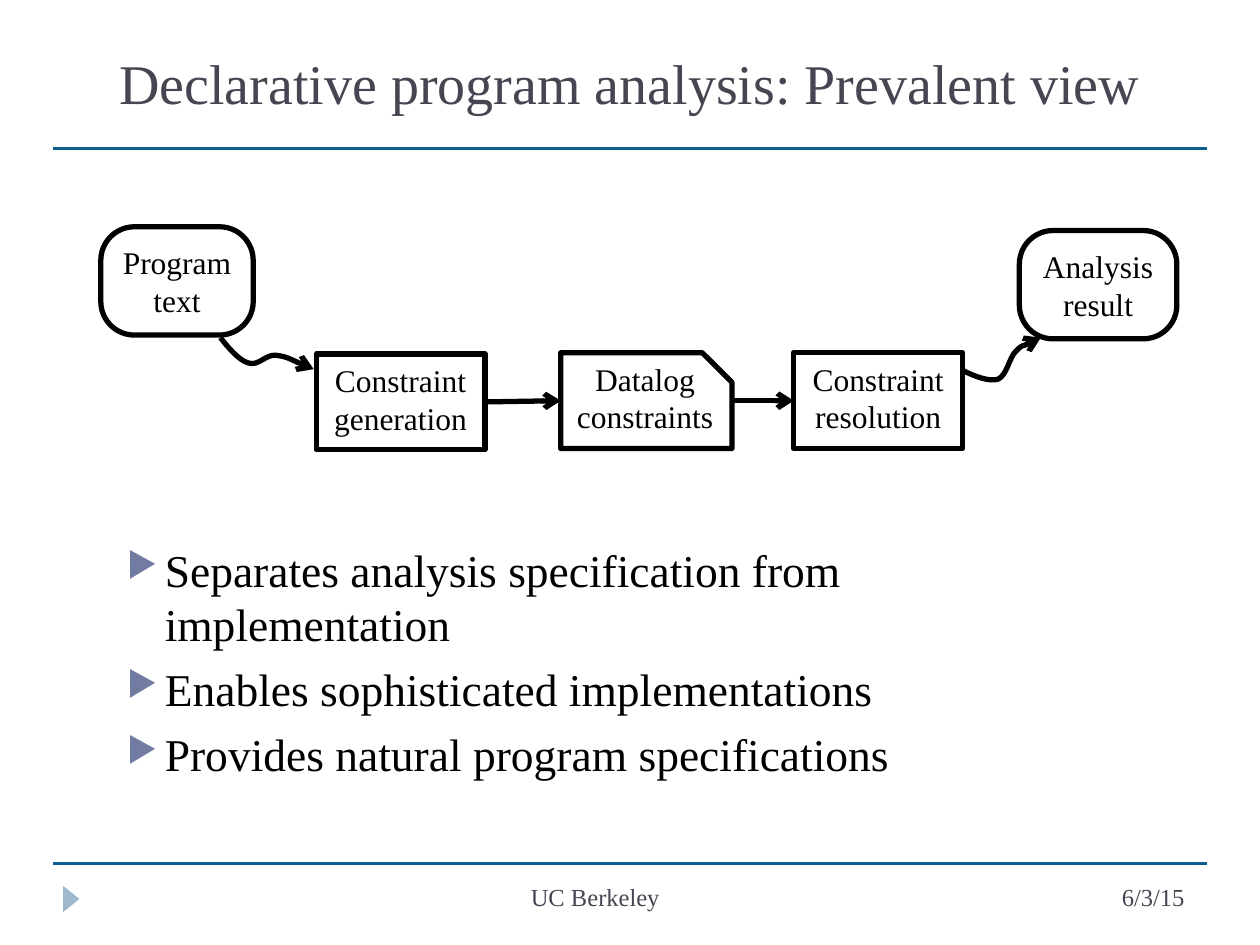
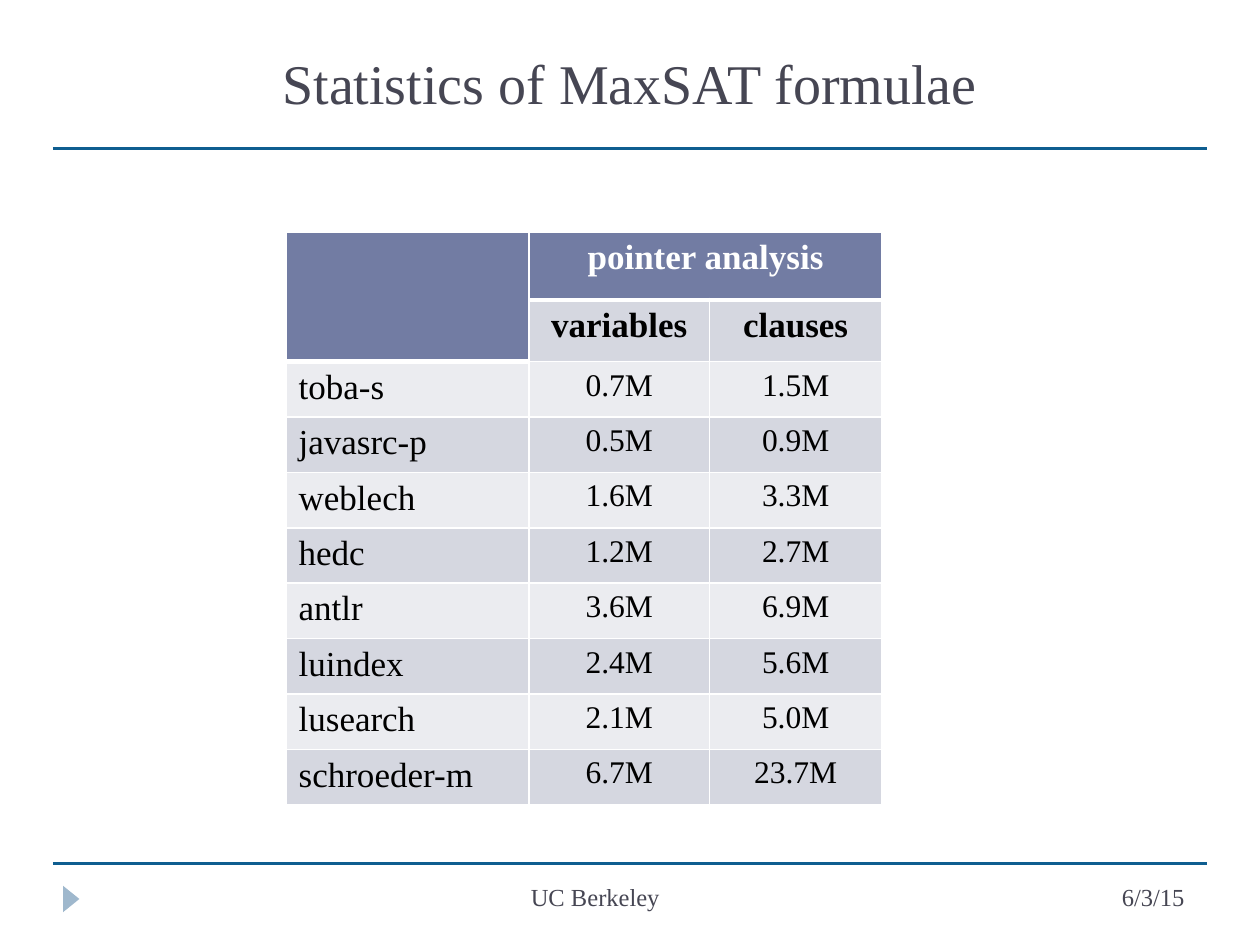
from lxml.etree import SubElement
from pptx import Presentation
from pptx.dml.color import RGBColor
from pptx.enum.shapes import MSO_CONNECTOR, MSO_SHAPE
from pptx.enum.text import MSO_ANCHOR, PP_ALIGN
from pptx.oxml.ns import qn
from pptx.util import Emu, Pt

PX = 9144  # 100 px to the inch
FONT = "Times New Roman"
BLACK = RGBColor(0x00, 0x00, 0x00)
WHITE = RGBColor(0xFF, 0xFF, 0xFF)
SLATE = RGBColor(0x46, 0x46, 0x53)
BLUE = RGBColor(0x0F, 0x5E, 0x90)
SKY = RGBColor(0x9F, 0xB8, 0xCD)
HEAD = RGBColor(0x72, 0x7C, 0xA3)
BANDS = RGBColor(0xEB, 0xEC, 0xF0), RGBColor(0xD5, 0xD7, 0xE0)
LEFT, MID, RIGHT = PP_ALIGN.LEFT, PP_ALIGN.CENTER, PP_ALIGN.RIGHT


def px(*nums):
    return [Emu(n * PX) for n in nums]


class Deck:
    def __init__(self):
        self.prs = Presentation()
        self.prs.slide_width, self.prs.slide_height = px(1000, 750)
        self.shapes = None

    # Frame shared by all slides
    def page(self, title):
        slide = self.prs.slides.add_slide(self.prs.slide_layouts[6])
        self.shapes = slide.shapes
        mark = self.shape(MSO_SHAPE.ISOSCELES_TRIANGLE, (46, 707, 21, 13), SKY)
        mark.rotation = 90
        for y in (118, 685):
            self.line((42, y), (958, y), BLUE, 1.75)
        self.label((50, 17, 900, 97), title, 32, MID, MSO_ANCHOR.MIDDLE)
        self.label((156, 695, 633, 40), "UC Berkeley", 14, MID)
        self.label((700, 695, 250, 40), "6/3/15", 14, RIGHT)

    # Text
    def run(self, para, text, size, color=BLACK, bold=False):
        run = para.add_run()
        run.text = text
        font = run.font
        font.name, font.size, font.bold = FONT, Pt(size), bold
        font.color.rgb = color

    def label(self, area, text, size, align, anchor=MSO_ANCHOR.TOP):
        frame = self.shapes.add_textbox(*px(*area)).text_frame
        frame.word_wrap = True
        frame.vertical_anchor = anchor
        para = frame.paragraphs[0]
        para.alignment = align
        self.run(para, text, size, SLATE)

    def bullets(self, area, items, size):
        frame = self.shapes.add_textbox(*px(*area)).text_frame
        frame.word_wrap = True
        for i, item in enumerate(items):
            para = frame.add_paragraph() if i else frame.paragraphs[0]
            para.space_before = Pt(6)
            prop = para._p.get_or_add_pPr()
            prop.set("marL", str(30 * PX))
            prop.set("indent", str(-30 * PX))
            tint = SubElement(prop, qn("a:buClr"))
            SubElement(tint, qn("a:srgbClr")).set("val", str(HEAD))
            SubElement(prop, qn("a:buSzPct")).set("val", "76000")
            SubElement(prop, qn("a:buChar")).set("char", "▶")
            self.run(para, item, size)

    # Shapes and lines
    def shape(self, kind, area, fill):
        shape = self.shapes.add_shape(kind, *px(*area))
        shape.shadow.inherit = False
        shape.fill.solid()
        shape.fill.fore_color.rgb = fill
        shape.line.fill.background()
        return shape

    def node(self, kind, area, lines, pads, adj=None):
        node = self.shape(kind, area, WHITE)
        self.pen(node, BLACK, 3)
        if adj is not None:
            node.adjustments[0] = adj
        frame = node.text_frame
        frame.word_wrap = True
        frame.vertical_anchor = MSO_ANCHOR.MIDDLE
        (frame.margin_left, frame.margin_top,
         frame.margin_right, frame.margin_bottom) = px(*pads)
        para = frame.paragraphs[0]
        para.alignment = MID
        for i, line in enumerate(lines):
            if i:
                para.add_line_break()
            self.run(para, line, 18)

    def pen(self, shape, color, width, arrow=False):
        shape.line.color.rgb = color
        shape.line.width = Pt(width)
        if arrow:
            tail = SubElement(shape.line._get_or_add_ln(), qn("a:tailEnd"))
            tail.set("type", "arrow")

    def line(self, start, end, color=BLACK, width=3, arrow=False):
        line = self.shapes.add_connector(
            MSO_CONNECTOR.STRAIGHT, *px(*start, *end))
        self.pen(line, color, width, arrow)
        SubElement(line._element.spPr, qn("a:effectLst"))

    def curve(self, start, *points):
        """Draw cubic curves: each three points make one segment."""
        form = self.shapes.build_freeform(*start, scale=PX)
        form.add_line_segments(points, close=False)
        curve = form.convert_to_shape()
        curve.shadow.inherit = False
        curve.fill.background()
        self.pen(curve, BLACK, 3, arrow=True)
        steps = list(curve._element.iter(qn("a:lnTo")))
        for i in range(0, len(steps), 3):
            bend = SubElement(steps[i].getparent(), qn("a:cubicBezTo"))
            for step in steps[i:i + 3]:
                bend.append(step[0])
                step.getparent().remove(step)

    # Table
    def table(self, area, cols, rows):
        grid = self.shapes.add_table(len(rows), len(cols), *px(*area)).table
        grid.first_row = grid.horz_banding = False
        for col, width in zip(grid.columns, px(*cols)):
            col.width = width
        for row, height in zip(grid.rows, px(*rows)):
            row.height = height
        return grid

    def cell(self, cell, text, fill, edges, size, color, bold, align):
        prop = cell._tc.get_or_add_tcPr()
        for side, width in zip("LRTB", edges):
            edge = SubElement(prop, qn(f"a:ln{side}"))
            edge.set("w", str(Pt(width)))
            ink = SubElement(edge, qn("a:solidFill"))
            SubElement(ink, qn("a:srgbClr")).set("val", str(WHITE))
        cell.fill.solid()
        cell.fill.fore_color.rgb = fill
        if text:
            para = cell.text_frame.paragraphs[0]
            para.alignment = align
            self.run(para, text, size, color, bold)


def flow(deck):
    deck.page("Declarative program analysis: Prevalent view")

    # Steps
    box, soft = MSO_SHAPE.RECTANGLE, MSO_SHAPE.ROUNDED_RECTANGLE
    pads, slim = (10, 5, 10, 10), (5, 5, 5, 5)
    deck.node(box, (251, 281, 134, 76), ("Constraint", "generation"), pads)
    deck.node(box, (630, 280, 134, 76), ("Constraint", "resolution"), pads)
    deck.node(soft, (80, 180, 121, 86), ("Program", "text"), slim, 0.31)
    deck.node(soft, (809, 183, 125, 86), ("Analysis", "result"), slim, 0.31)
    deck.node(MSO_SHAPE.SNIP_1_RECTANGLE, (445, 280, 136, 76),
              ("Datalog", "constraints"), (10, 0, 0, 17), 0.31)

    # Arrows
    deck.line((385, 319), (445, 318), arrow=True)
    deck.line((582, 318), (630, 318), arrow=True)
    deck.curve((175, 268), (182, 277), (190, 286), (197, 288),
               (205, 291), (211, 281), (219, 282),
               (228, 283), (243, 291), (249, 293))
    deck.curve((764, 294), (774, 299), (785, 303), (792, 301),
               (799, 298), (801, 284), (806, 279),
               (812, 273), (822, 271), (826, 268))

    # Benefits
    deck.bullets((91, 425, 796, 158), (
        "Separates analysis specification from implementation",
        "Enables sophisticated implementations",
        "Provides natural program specifications"), 26)


def stats(deck):
    deck.page("Statistics of MaxSAT formulae")
    data = (
        ("", "pointer analysis", ""),
        ("", "variables", "clauses"),
        ("toba-s", "0.7M", "1.5M"),
        ("javasrc-p", "0.5M", "0.9M"),
        ("weblech", "1.6M", "3.3M"),
        ("hedc", "1.2M", "2.7M"),
        ("antlr", "3.6M", "6.9M"),
        ("luindex", "2.4M", "5.6M"),
        ("lusearch", "2.1M", "5.0M"),
        ("schroeder-m", "6.7M", "23.7M"),
    )
    rows = [54, 49] + [44] * (len(data) - 2)
    grid = deck.table((227, 184, 473, sum(rows)), (193, 143, 137), rows)
    grid.cell(0, 0).merge(grid.cell(1, 0))
    grid.cell(0, 1).merge(grid.cell(0, 2))
    for r, row in enumerate(data):
        for c, text in enumerate(row):
            top = 1 if c else 2  # first row below the dark head
            dark = r < top
            edges = (1, 1, 3 if r == top else 1, 3 if r == top - 1 else 1)
            deck.cell(grid.cell(r, c), text, HEAD if dark else BANDS[r % 2],
                      edges, size=18 if r > 1 and c else 20,
                      color=WHITE if dark else BLACK, bold=r < 2,
                      align=MID if c else LEFT)


def main():
    deck = Deck()
    flow(deck)
    stats(deck)
    deck.prs.save("out.pptx")


if __name__ == "__main__":
    main()
